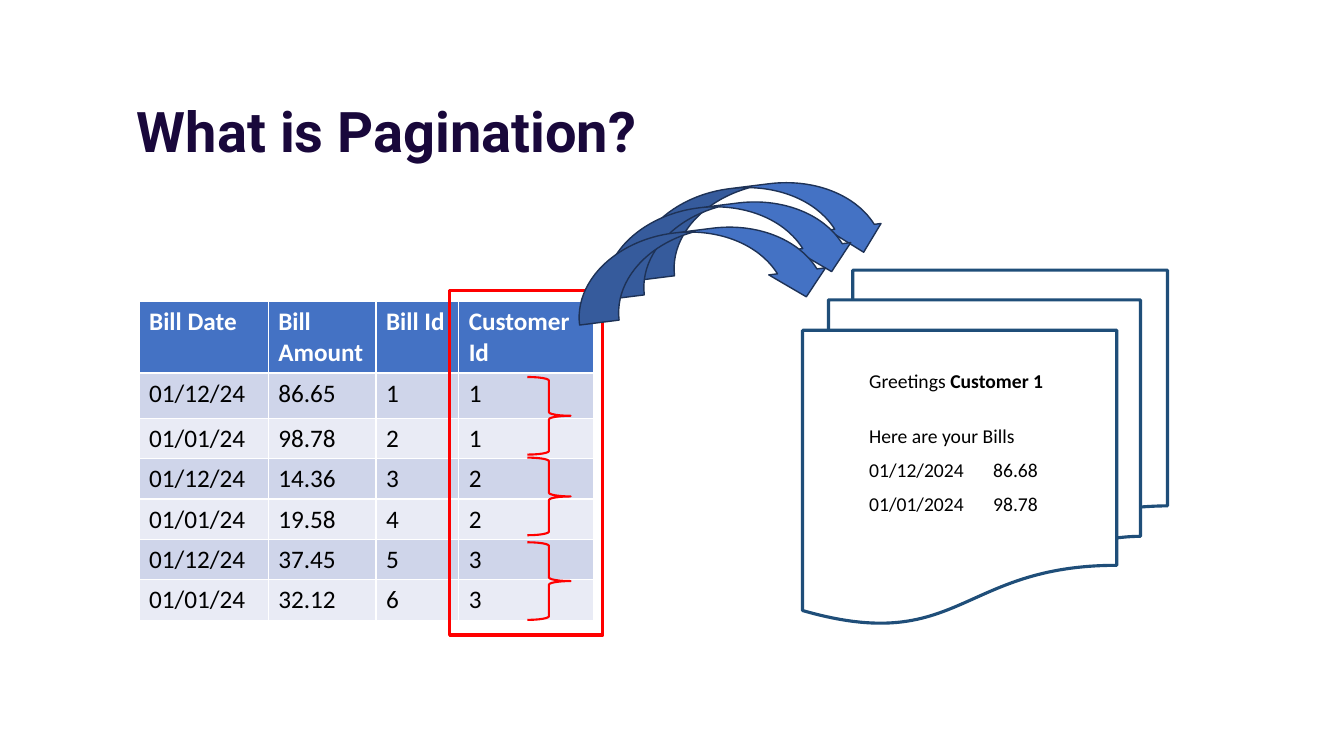
"""Build a slide that explains pagination of bills by customer."""
from pptx import Presentation
from pptx.dml.color import RGBColor
from pptx.enum.shapes import MSO_SHAPE
from pptx.enum.text import MSO_ANCHOR
from pptx.util import Inches, Pt

RECTANGLE = MSO_SHAPE.RECTANGLE
BRACE = MSO_SHAPE.RIGHT_BRACE
PAGES = MSO_SHAPE.FLOWCHART_MULTIDOCUMENT
CURVED_ARROW = MSO_SHAPE.CURVED_DOWN_ARROW
MIDDLE = MSO_ANCHOR.MIDDLE

WHITE = RGBColor(0xFF, 0xFF, 0xFF)
BLACK = RGBColor(0x00, 0x00, 0x00)
RED = RGBColor(0xFF, 0x00, 0x00)
BLUE = RGBColor(0x44, 0x72, 0xC4)
ARROW_EDGE = RGBColor(0x1E, 0x32, 0x56)
PAGE_EDGE = RGBColor(0x1F, 0x4E, 0x79)
TITLE_COLOR = RGBColor(0x19, 0x08, 0x3B)
BANDS = (RGBColor(0xCF, 0xD5, 0xEA), RGBColor(0xE9, 0xEB, 0xF5))

TITLE = "What is Pagination?"
BILLS = [
    ("Bill Date", "Bill Amount", "Bill Id", "Customer Id"),
    ("01/12/24", "86.65", "1", "1"),
    ("01/01/24", "98.78", "2", "1"),
    ("01/12/24", "14.36", "3", "2"),
    ("01/01/24", "19.58", "4", "2"),
    ("01/12/24", "37.45", "5", "3"),
    ("01/01/24", "32.12", "6", "3"),
]
BILL_COLUMNS = (1.28, 1.07, 0.82, 1.34)
BILL_ROWS = (0.71, 0.45) + (0.4,) * 5

LETTER = [
    (("Greetings ", "Customer 1"),),
    (("Here are your Bills",),),
    (("01/12/2024",), ("86.68",)),
    (("01/01/2024",), ("98.78",)),
]
LETTER_COLUMNS = (1.23, 0.95)
LETTER_ROWS = (0.54, 0.34, 0.34, 0.34)

BRACE_TOPS = (3.74, 4.54, 5.38)
ARROWS = [(6.24, 1.84, 0.67), (5.94, 2.03, 0.716), (5.69, 2.28, 0.718)]


def style_font(font, size, color, bold=False, name="Calibri"):
    font.name = name
    font.size = Pt(size)
    font.bold = bold
    font.color.rgb = color


def add_outline(slide, kind, box, line_color, line_width, fill_color=None):
    shape = slide.shapes.add_shape(kind, *map(Inches, box))
    shape.shadow.inherit = False
    shape.line.color.rgb = line_color
    shape.line.width = Pt(line_width)
    if fill_color is None:
        shape.fill.background()
    else:
        shape.fill.solid()
        shape.fill.fore_color.rgb = fill_color
    return shape


def add_grid(slide, left, top, columns, rows):
    box = map(Inches, (left, top, sum(columns), sum(rows)))
    table = slide.shapes.add_table(len(rows), len(columns), *box).table
    table.horz_banding = False
    for column, width in zip(table.columns, columns):
        column.width = Inches(width)
    for row, height in zip(table.rows, rows):
        row.height = Inches(height)
    return table


def add_bills(slide):
    table = add_grid(slide, 1.38, 2.99, BILL_COLUMNS, BILL_ROWS)
    for row, values in enumerate(BILLS):
        header = row == 0
        for column, value in enumerate(values):
            cell = table.cell(row, column)
            cell.text = value
            cell.fill.solid()
            cell.fill.fore_color.rgb = BLUE if header else BANDS[(row - 1) % 2]
            style_font(cell.text_frame.paragraphs[0].font, 18,
                       WHITE if header else BLACK, header)


def add_letter(slide):
    table = add_grid(slide, 8.52, 3.62, LETTER_COLUMNS, LETTER_ROWS)
    table.first_row = False
    for row, entries in enumerate(LETTER):
        for column in range(len(LETTER_COLUMNS)):
            table.cell(row, column).fill.background()
        if len(entries) == 1:
            table.cell(row, 0).merge(table.cell(row, 1))
        for column, parts in enumerate(entries):
            paragraph = table.cell(row, column).text_frame.paragraphs[0]
            for index, part in enumerate(parts):
                run = paragraph.add_run()
                run.text = part
                style_font(run.font, 14, BLACK, index > 0)


def add_title(slide):
    box = slide.shapes.add_textbox(*map(Inches, (1.26, 0.76, 6.41, 1.14)))
    frame = box.text_frame
    frame.word_wrap = True
    frame.vertical_anchor = MIDDLE
    paragraph = frame.paragraphs[0]
    paragraph.text = TITLE
    paragraph.line_spacing = 0.9
    style_font(paragraph.font, 40, TITLE_COLOR, True, "Roboto")


def main():
    presentation = Presentation()
    presentation.slide_width = Inches(13.33)
    presentation.slide_height = Inches(7.5)
    slide = presentation.slides.add_slide(presentation.slide_layouts[6])
    add_title(slide)
    add_bills(slide)
    add_outline(slide, RECTANGLE, (4.46, 2.88, 1.52, 3.42), RED, 2.25)
    for top in BRACE_TOPS:
        add_outline(slide, BRACE, (5.23, top, 0.43, 0.77), RED, 1.5)
    add_outline(slide, PAGES, (7.96, 2.68, 3.62, 3.51), PAGE_EDGE, 2.25, WHITE)
    add_letter(slide)
    for left, top, head_width in ARROWS:
        arrow = add_outline(slide, CURVED_ARROW, (left, top, 2.55, 0.79),
                            ARROW_EDGE, 1, BLUE)
        arrow.rotation = 352.9
        for index, value in enumerate((0.5, head_width, 0.331)):
            arrow.adjustments[index] = value
    presentation.save("out.pptx")


if __name__ == "__main__":
    main()
